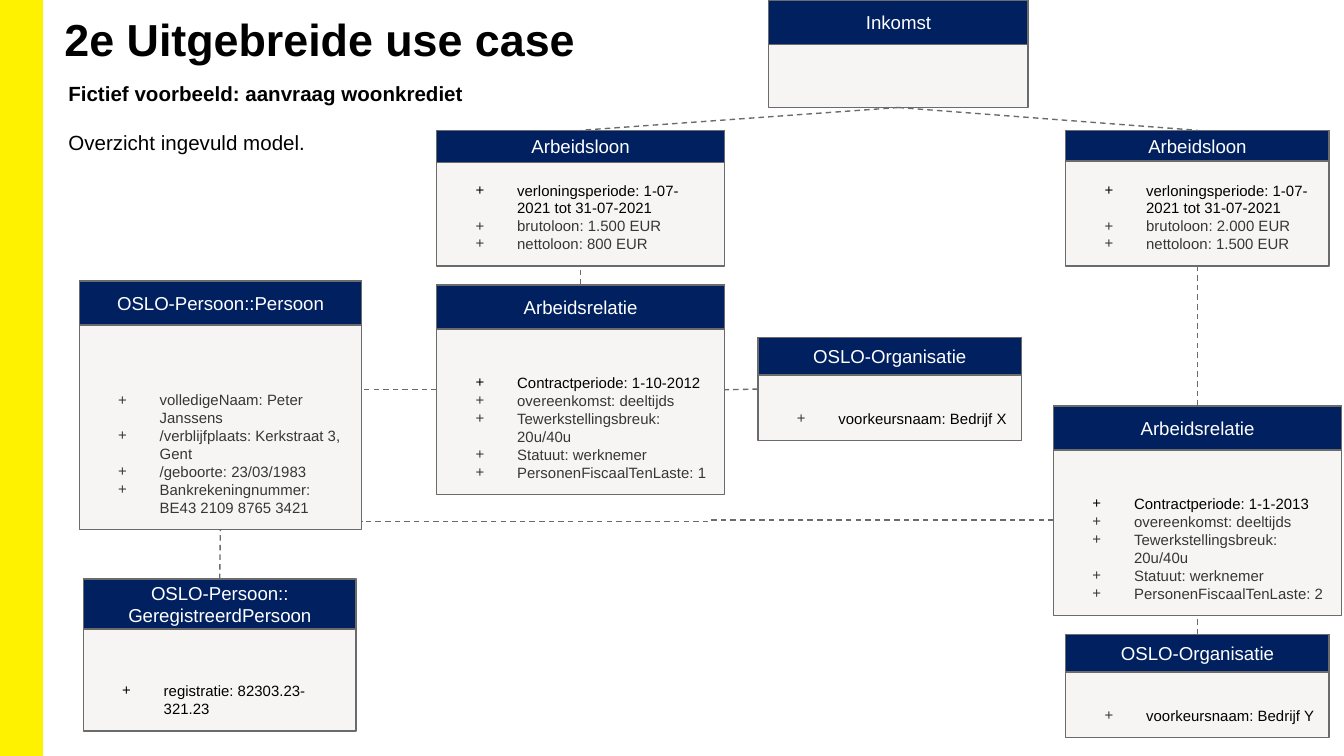
from dataclasses import dataclass
from typing import NamedTuple

from lxml import etree
from pptx import Presentation
from pptx.dml.color import RGBColor
from pptx.enum import dml, shapes, text
from pptx.oxml import ns
from pptx.util import Inches, Pt

FONT = "Arial"
BLACK, GREY, WHITE = "000000", "373636", "FFFFFF"
YELLOW, NAVY, PAPER, EDGE = "FFF200", "002060", "F6F5F3", "6B6B6B"
TOP, LEFT, BOTTOM, RIGHT = range(4)
PAGE_WIDTH = 10
PAGE_HEIGHT = PAGE_WIDTH * 9 / 16


class Frame(NamedTuple):
    left: float
    top: float
    width: float
    height: float


@dataclass
class Card:
    heading: str
    frame: Frame
    header_height: float
    attributes: tuple[str, ...] = ()
    lead_color: str = BLACK
    bullet_color: str = BLACK
    body_drop: float = 0


class Link(NamedTuple):
    start: str
    start_side: int
    end: str
    end_side: int


def color(value: str) -> RGBColor:
    return RGBColor.from_string(value)


def add_span(para, words: str, size: float, ink: str, bold: bool = False) -> None:
    span = para.add_run()
    span.text = words
    span.font.name, span.font.size, span.font.bold = FONT, Pt(size), bold
    span.font.color.rgb = color(ink)


def add_bullet(para, ink: str) -> None:
    properties = para._p.get_or_add_pPr()
    properties.set("marL", str(Inches(0.5)))
    properties.set("indent", str(Inches(-0.31)))
    bullet_color = etree.SubElement(properties, ns.qn("a:buClr"))
    etree.SubElement(bullet_color, ns.qn("a:srgbClr"), val=ink)
    etree.SubElement(properties, ns.qn("a:buFont"), typeface=FONT)
    etree.SubElement(properties, ns.qn("a:buChar"), char="+")


def set_margins(box, across: float, down: float) -> None:
    frame = box.text_frame
    frame.word_wrap = True
    frame.margin_left = frame.margin_right = Inches(across)
    frame.margin_top = frame.margin_bottom = Inches(down)


def next_para(box, index: int):
    return box.text_frame.add_paragraph() if index else box.text_frame.paragraphs[0]


def add_box(parent, frame: Frame, fill: str, edge: str, weight: float = 0.75):
    box = parent.shapes.add_shape(shapes.MSO_SHAPE.RECTANGLE, *map(Inches, frame))
    box.shadow.inherit = False
    box.fill.solid()
    box.fill.fore_color.rgb = color(fill)
    box.line.color.rgb = color(edge)
    box.line.width = Pt(weight)
    set_margins(box, 0.1, 0.1)
    return box


def add_card(page, card: Card):
    """Draw the card as a group and return its body, to which links are joined."""
    left, top, width, height = card.frame
    drop = card.body_drop
    group = page.shapes.add_group_shape()

    body = add_box(group, Frame(left, top + drop, width, height - drop), PAPER, EDGE)
    body.text_frame.vertical_anchor = text.MSO_ANCHOR.BOTTOM
    for index, attribute in enumerate(card.attributes):
        para = next_para(body, index)
        para.alignment = text.PP_ALIGN.LEFT
        add_bullet(para, GREY if index else card.bullet_color)
        add_span(para, attribute, 8, GREY if index else card.lead_color)

    header = add_box(group, Frame(left, top, width, card.header_height), NAVY, EDGE)
    header.text_frame.vertical_anchor = text.MSO_ANCHOR.MIDDLE
    for index, line in enumerate(card.heading.split("\n")):
        para = next_para(header, index)
        para.alignment = text.PP_ALIGN.CENTER
        add_span(para, line, 10, WHITE)
    return body


def add_dashed(page, kind=shapes.MSO_CONNECTOR.STRAIGHT, start=(0, 0), end=(0, 0)):
    line = page.shapes.add_connector(kind, *map(Inches, (*start, *end)))
    line.line.color.rgb = color(EDGE)
    line.line.width = Pt(0.75)
    line.line.dash_style = dml.MSO_LINE.DASH
    etree.SubElement(line._element.spPr, ns.qn("a:effectLst"))
    return line


def add_text(page, frame: Frame, across: float, down: float):
    box = page.shapes.add_textbox(*map(Inches, frame))
    set_margins(box, across, down)
    return box


def wage(frame: Frame, header_height: float, gross: str, net: str) -> Card:
    return Card("Arbeidsloon", frame, header_height, (
        "verloningsperiode: 1-07-2021 tot 31-07-2021",
        f"brutoloon: {gross} EUR", f"nettoloon: {net} EUR"))


def employment(left: float, top: float, since: str, dependants: int) -> Card:
    return Card("Arbeidsrelatie", Frame(left, top, 2.14, 1.56), 0.33, (
        f"Contractperiode: {since}", "overeenkomst: deeltijds",
        "Tewerkstellingsbreuk: 20u/40u", "Statuut: werknemer",
        f"PersonenFiscaalTenLaste: {dependants}"))


def organisation(left: float, top: float, name: str) -> Card:
    return Card("OSLO-Organisatie", Frame(left, top, 1.96, 0.77), 0.28,
                (f"voorkeursnaam: {name}",), bullet_color=GREY)


CARDS = {
    "person": Card("OSLO-Persoon::Persoon", Frame(0.59, 2.09, 2.1, 1.85), 0.33, (
        "volledigeNaam: Peter Janssens", "/verblijfplaats: Kerkstraat 3, Gent",
        "/geboorte: 23/03/1983", "Bankrekeningnummer: BE43 2109 8765 3421"),
        lead_color=GREY, bullet_color=GREY),
    "registered": Card("OSLO-Persoon::\nGeregistreerdPersoon",
                       Frame(0.62, 4.31, 2.03, 1.13), 0.37,
                       ("registratie: 82303.23-321.23",)),
    "job 1": employment(3.25, 2.12, "1-10-2012", 1),
    "employer 1": organisation(5.64, 2.51, "Bedrijf X"),
    "job 2": employment(7.84, 3.02, "1-1-2013", 2),
    "employer 2": organisation(7.93, 4.72, "Bedrijf Y"),
    "income": Card("Inkomst", Frame(5.72, 0, 1.93, 0.8), 0.33, body_drop=0.27),
    "wage 2": wage(Frame(7.93, 0.97, 1.96, 1.01), 0.23, "2.000", "1.500"),
    "wage 1": wage(Frame(3.25, 0.97, 2.14, 1.01), 0.24, "1.500", "800"),
}

LINKS = (
    Link("registered", TOP, "person", BOTTOM),
    Link("employer 1", LEFT, "job 1", RIGHT),
    Link("employer 2", TOP, "job 2", BOTTOM),
    Link("income", BOTTOM, "wage 2", TOP),
    Link("income", BOTTOM, "wage 1", TOP),
    Link("job 1", TOP, "wage 1", BOTTOM),
    Link("job 2", TOP, "wage 2", BOTTOM),
)


def main() -> None:
    deck = Presentation()
    deck.slide_width, deck.slide_height = Inches(PAGE_WIDTH), Inches(PAGE_HEIGHT)
    page = deck.slides.add_slide(deck.slide_layouts[6])

    add_box(page, Frame(0, 0, 0.31, PAGE_HEIGHT), YELLOW, YELLOW, 1)
    intro = add_text(page, Frame(0.41, 0.5, 4.69, 0.76), 0.1, 0.1)
    lines = ("Fictief voorbeeld: aanvraag woonkrediet", "Overzicht ingevuld model.")
    for index, line in enumerate(lines):
        para = next_para(intro, index)
        para.alignment = text.PP_ALIGN.JUSTIFY
        if index:
            para.space_before = Pt(13)
        add_span(para, line, 11, BLACK, bold=index == 0)
    title = add_text(page, Frame(0.41, 0.05, 4.14, 0.63), 0.07, 0.04)
    add_span(next_para(title, 0), "2e Uitgebreide use case", 24, BLACK, bold=True)

    bodies = {name: add_card(page, card) for name, card in CARDS.items()}
    for link in LINKS:
        line = add_dashed(page)
        line.begin_connect(bodies[link.start], link.start_side)
        line.end_connect(bodies[link.end], link.end_side)
    person_line = add_dashed(page, start=(3.25, 2.9), end=(2.69, 2.9))
    person_line.begin_connect(bodies["job 1"], LEFT)
    add_dashed(page, shapes.MSO_CONNECTOR.ELBOW, (7.84, 3.87), (2.69, 3.88))

    deck.save("out.pptx")


if __name__ == "__main__":
    main()
